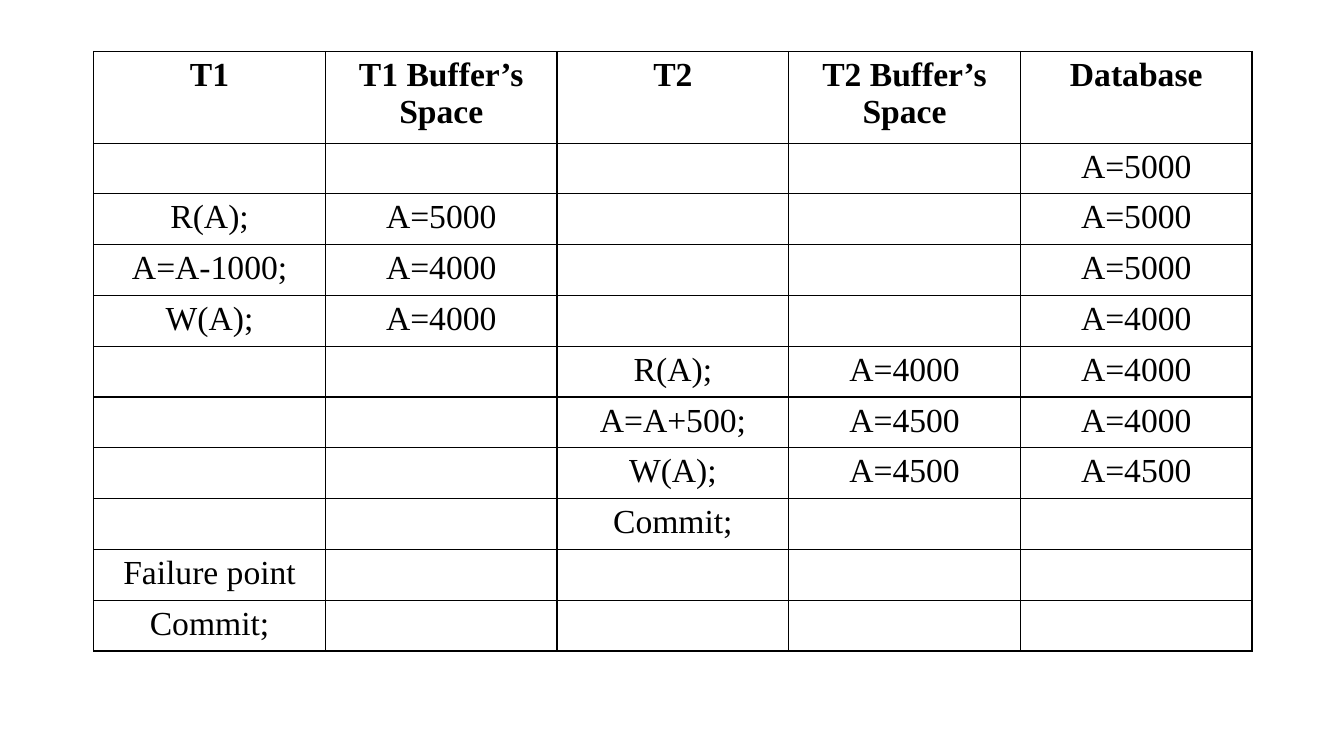
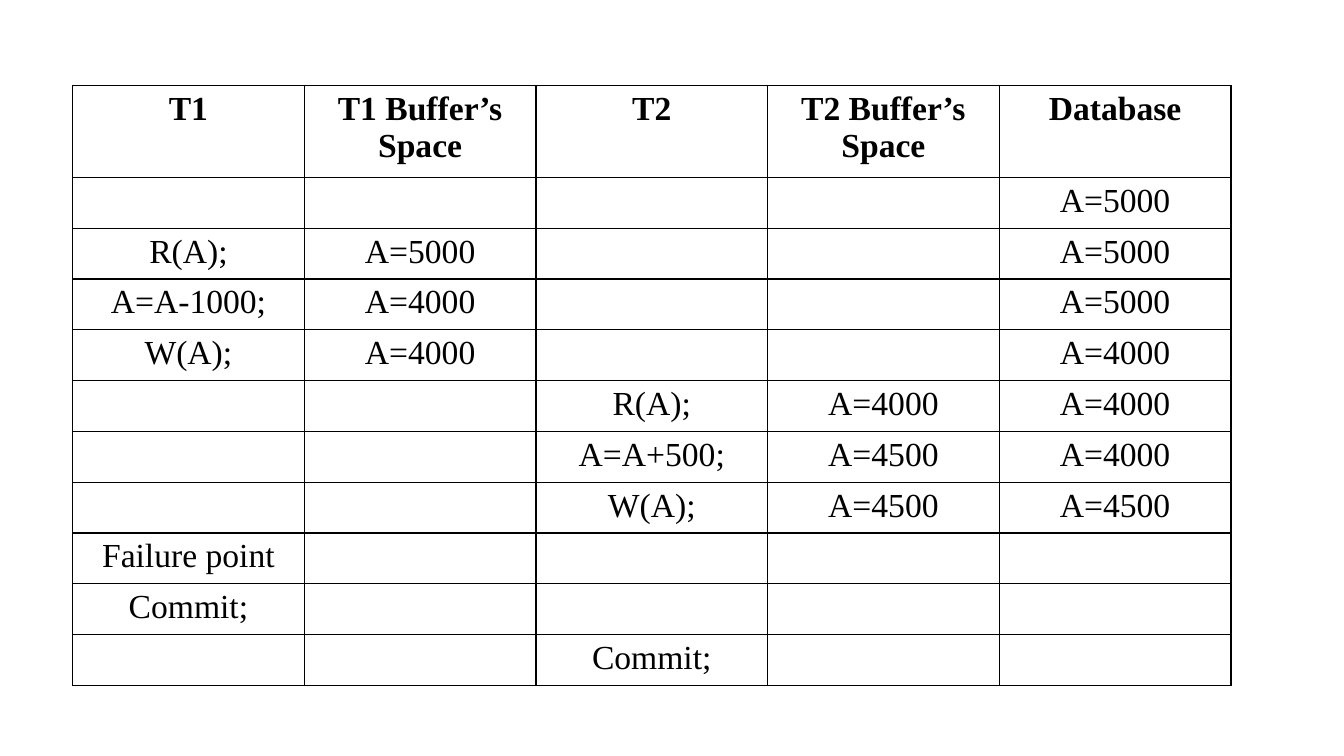
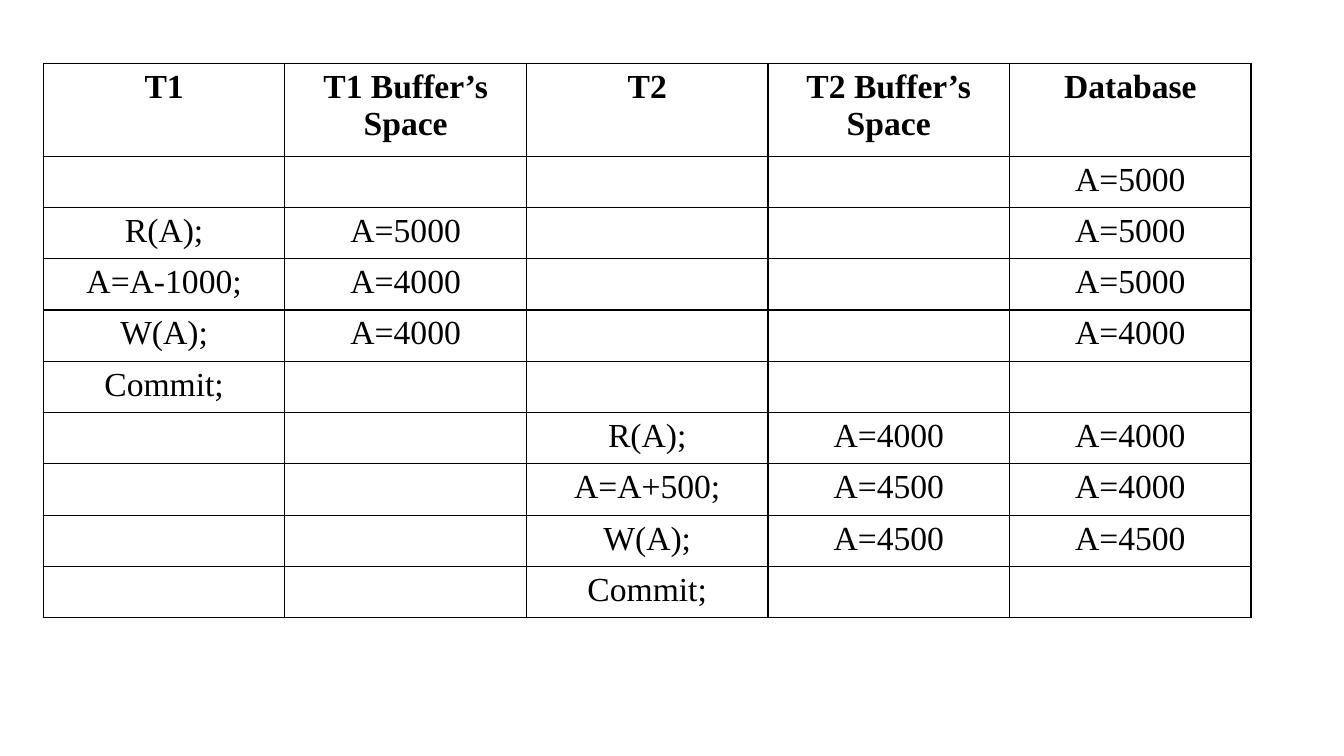
from lxml.etree import SubElement
from pptx import Presentation
from pptx.dml.color import RGBColor
from pptx.enum.text import PP_ALIGN
from pptx.oxml.ns import qn
from pptx.util import Inches, Pt

INK = "000000"
FONT = "Times New Roman"
BORDER_WIDTH = Pt(1)

HEADER = ("T1", "T1 Buffer’s Space", "T2", "T2 Buffer’s Space", "Database")
START = [("", "", "", "", "A=5000")]
T1_STEPS = [
    ("R(A);", "A=5000", "", "", "A=5000"),
    ("A=A-1000;", "A=4000", "", "", "A=5000"),
    ("W(A);", "A=4000", "", "", "A=4000"),
]
T2_STEPS = [
    ("", "", "R(A);", "A=4000", "A=4000"),
    ("", "", "A=A+500;", "A=4500", "A=4000"),
    ("", "", "W(A);", "A=4500", "A=4500"),
]
T1_COMMIT = [("Commit;", "", "", "", "")]
T2_COMMIT = [("", "", "Commit;", "", "")]
FAILURE = [("Failure point", "", "", "", "")]

SCHEDULES = [
    {
        "steps": START + T1_STEPS + T2_STEPS + T2_COMMIT + FAILURE + T1_COMMIT,
        "place": (0.93, 0.51, 11.49, 5.95),
        "header_height": 0.91,
    },
    {
        "steps": START + T1_STEPS + T2_STEPS + FAILURE + T1_COMMIT + T2_COMMIT,
        "place": (0.72, 0.85, 11.49, 5.95),
        "header_height": 0.91,
    },
    {
        "steps": START + T1_STEPS + T1_COMMIT + T2_STEPS + T2_COMMIT,
        "place": (0.43, 0.63, 11.98, 5.5),
        "header_height": 0.92,
    },
]


def color(value):
    return RGBColor.from_string(value)


def write(cell, text, size=24, bold=False, ink=INK, align=PP_ALIGN.CENTER):
    para = cell.text_frame.paragraphs[0]
    para.alignment = align
    span = para.add_run()
    span.text = text
    span.font.name = FONT
    span.font.size = Pt(size)
    span.font.bold = bold
    span.font.color.rgb = color(ink)


def outline(cell):
    properties = cell._tc.get_or_add_tcPr()
    for side in ("lnL", "lnR", "lnT", "lnB"):
        line = SubElement(properties, qn(f"a:{side}"), w=str(BORDER_WIDTH))
        fill = SubElement(line, qn("a:solidFill"))
        SubElement(fill, qn("a:srgbClr"), val=INK)


def add_schedule(page, steps, place, header_height):
    rows = [HEADER] + steps
    left, top, width, height = place
    frame = page.shapes.add_table(len(rows), len(HEADER), *map(Inches, place))
    table = frame.table
    table.first_row = False
    table.horz_banding = False
    for column in table.columns:
        column.width = Inches(width / len(HEADER))
    step_height = (height - header_height) / len(steps)
    for row_index, texts in enumerate(rows):
        is_header = row_index == 0
        table.rows[row_index].height = Inches(header_height if is_header else step_height)
        for column_index, text in enumerate(texts):
            cell = table.cell(row_index, column_index)
            outline(cell)
            cell.fill.background()
            if text:
                write(cell, text, bold=is_header)


def main():
    deck = Presentation()
    deck.slide_width = Inches(13.33)
    deck.slide_height = Inches(7.5)
    for schedule in SCHEDULES:
        page = deck.slides.add_slide(deck.slide_layouts[6])
        add_schedule(page, **schedule)
    deck.save("out.pptx")


if __name__ == "__main__":
    main()
